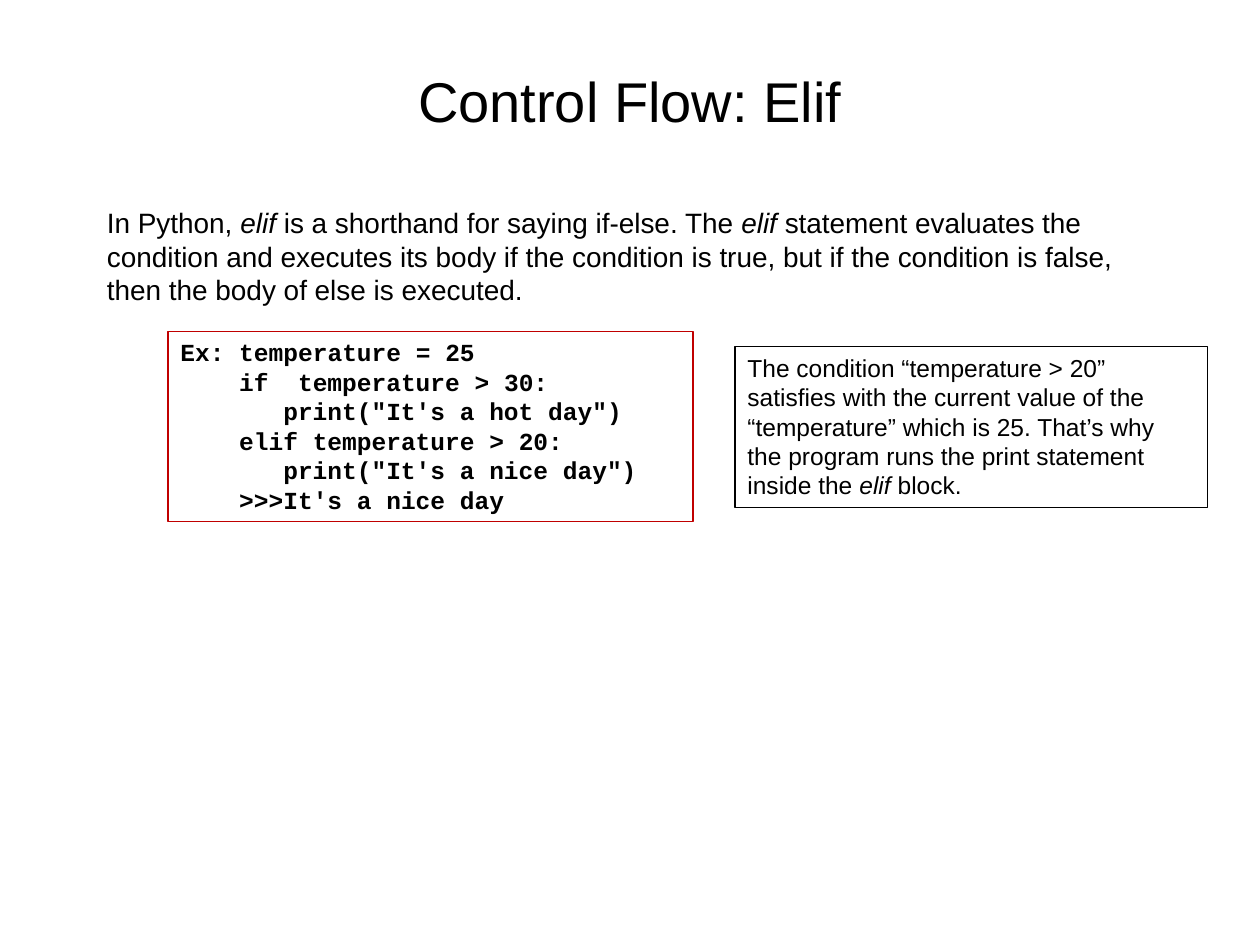
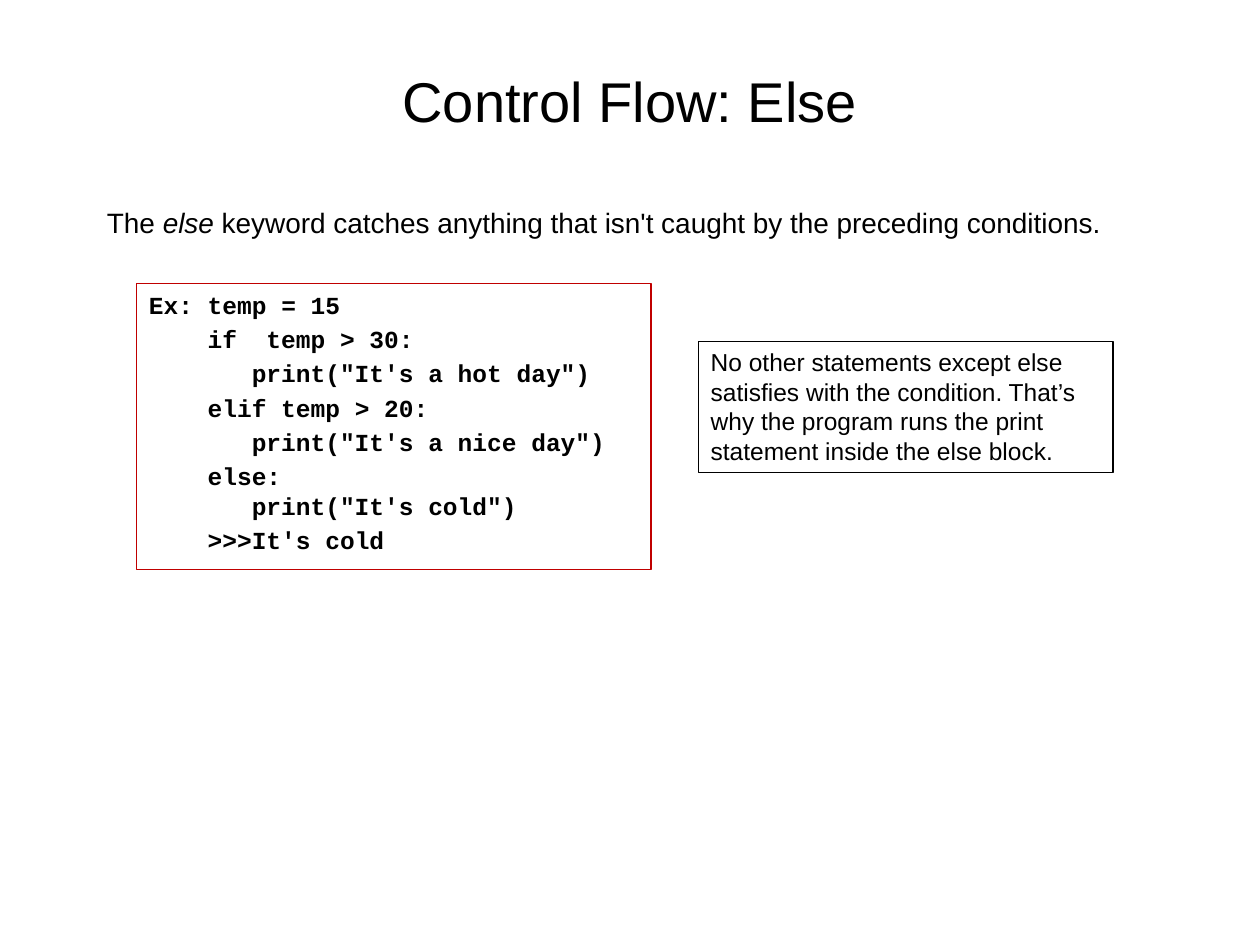
from pptx import Presentation
from pptx.dml.color import RGBColor
from pptx.enum.shapes import MSO_SHAPE as Shape
from pptx.enum.text import MSO_ANCHOR as Anchor, PP_ALIGN as Align
from pptx.util import Inches, Pt

COLUMNS, ROWS = 120, 90
BLACK, RED = "000000", "C00000"
SANS, MONO = "Arial", "Courier New"
TITLE_SIZE, BODY_SIZE, BOX_SIZE = 32, 16, 14
CODE_CHAR_WIDTH = 0.6 * BOX_SIZE
TITLE_BOX = (9, 2, 102, 15)
BODY_BOX = (9, 19, 102, 61)

LESSONS = [
    {
        "title": "Control Flow: Elif",
        "body": "In Python, *elif *is a shorthand for saying if-else. The *elif *statement "
                "evaluates the condition and executes its body if the condition is true, "
                "but if the condition is false, then the body of else is executed.",
        "note": "The condition “temperature > 20” satisfies with the current value of the "
                "“temperature” which is 25. That’s why the program runs the print statement "
                "inside the *elif* block.",
        "note_box": (70, 33, 45, 15.36),
        "code": [
            (0, 0, "Ex: temperature = 25"),
            (4, 0, "if  temperature > 30:"),
            (7, 0, 'print("It\'s a hot day")'),
            (4, 0, "elif temperature > 20:"),
            (7, 0, 'print("It\'s a nice day")'),
            (4, 0, ">>>It's a nice day"),
        ],
        "code_box": (16, 31.55, 50, 18.1),
    },
    {
        "title": "Control Flow: Else",
        "body": "The *else* keyword catches anything that isn't caught by the preceding "
                "conditions.",
        "note": "No other statements except else satisfies with the condition. That’s why "
                "the program runs the print statement inside the else block.",
        "note_box": (66.5, 32.5, 39.5, 12.5),
        "code": [
            (0, 0, "Ex: temp = 15"),
            (4, 0.2, "if  temp > 30:"),
            (7, 0.2, 'print("It\'s a hot day")'),
            (4, 0.2, "elif temp > 20:"),
            (7, 0.2, 'print("It\'s a nice day")'),
            (4, 0.2, "else:"),
            (7, 0, 'print("It\'s cold")'),
            (4, 0.2, ">>>It's cold"),
        ],
        "code_box": (13, 27, 49, 27.25),
    },
]


def color(hex_string):
    return RGBColor.from_string(hex_string)


def place(prs, box):
    left, top, width, height = box
    column, row = prs.slide_width / COLUMNS, prs.slide_height / ROWS
    return [round(n) for n in (left * column, top * row, width * column, height * row)]


def add_run(paragraph, text, size, font=SANS, bold=False, italic=False):
    run = paragraph.add_run()
    run.text = text
    run.font.name = font
    run.font.size = Pt(size)
    run.font.bold = bold
    run.font.italic = italic
    run.font.color.rgb = color(BLACK)


def add_marked_text(paragraph, text, size):
    for index, part in enumerate(text.split("*")):
        add_run(paragraph, part, size, italic=index % 2 == 1)


def add_text_area(prs, slide, box, text, size, anchor=Anchor.TOP, align=Align.LEFT):
    frame = slide.shapes.add_textbox(*place(prs, box)).text_frame
    frame.word_wrap = True
    frame.vertical_anchor = anchor
    paragraph = frame.paragraphs[0]
    paragraph.alignment = align
    add_marked_text(paragraph, text, size)


def add_frame(prs, slide, box, line_color):
    outline = slide.shapes.add_shape(Shape.RECTANGLE, *place(prs, box))
    outline.shadow.inherit = False
    outline.fill.background()
    outline.line.color.rgb = color(line_color)
    outline.line.width = Pt(0.75)
    frame = outline.text_frame
    frame.word_wrap = True
    frame.vertical_anchor = Anchor.TOP
    frame.paragraphs[0].alignment = Align.LEFT
    return frame


def add_note(prs, slide, box, text):
    frame = add_frame(prs, slide, box, BLACK)
    add_marked_text(frame.paragraphs[0], text, BOX_SIZE)


def add_code(prs, slide, box, lines):
    frame = add_frame(prs, slide, box, RED)
    for index, (indent, gap, text) in enumerate(lines):
        paragraph = frame.add_paragraph() if index else frame.paragraphs[0]
        paragraph.alignment = Align.LEFT
        paragraph.space_before = Pt(gap * BOX_SIZE)
        paragraph._p.get_or_add_pPr().set("marL", str(Pt(indent * CODE_CHAR_WIDTH)))
        add_run(paragraph, text, BOX_SIZE, MONO, bold=True)


def add_lesson(prs, lesson):
    slide = prs.slides.add_slide(prs.slide_layouts[6])
    add_text_area(prs, slide, TITLE_BOX, lesson["title"], TITLE_SIZE,
                  Anchor.MIDDLE, Align.CENTER)
    add_text_area(prs, slide, BODY_BOX, lesson["body"], BODY_SIZE)
    add_note(prs, slide, lesson["note_box"], lesson["note"])
    add_code(prs, slide, lesson["code_box"], lesson["code"])


def main():
    prs = Presentation()
    prs.slide_width, prs.slide_height = Inches(10), Inches(7.5)
    for lesson in LESSONS:
        add_lesson(prs, lesson)
    prs.save("out.pptx")


if __name__ == "__main__":
    main()
